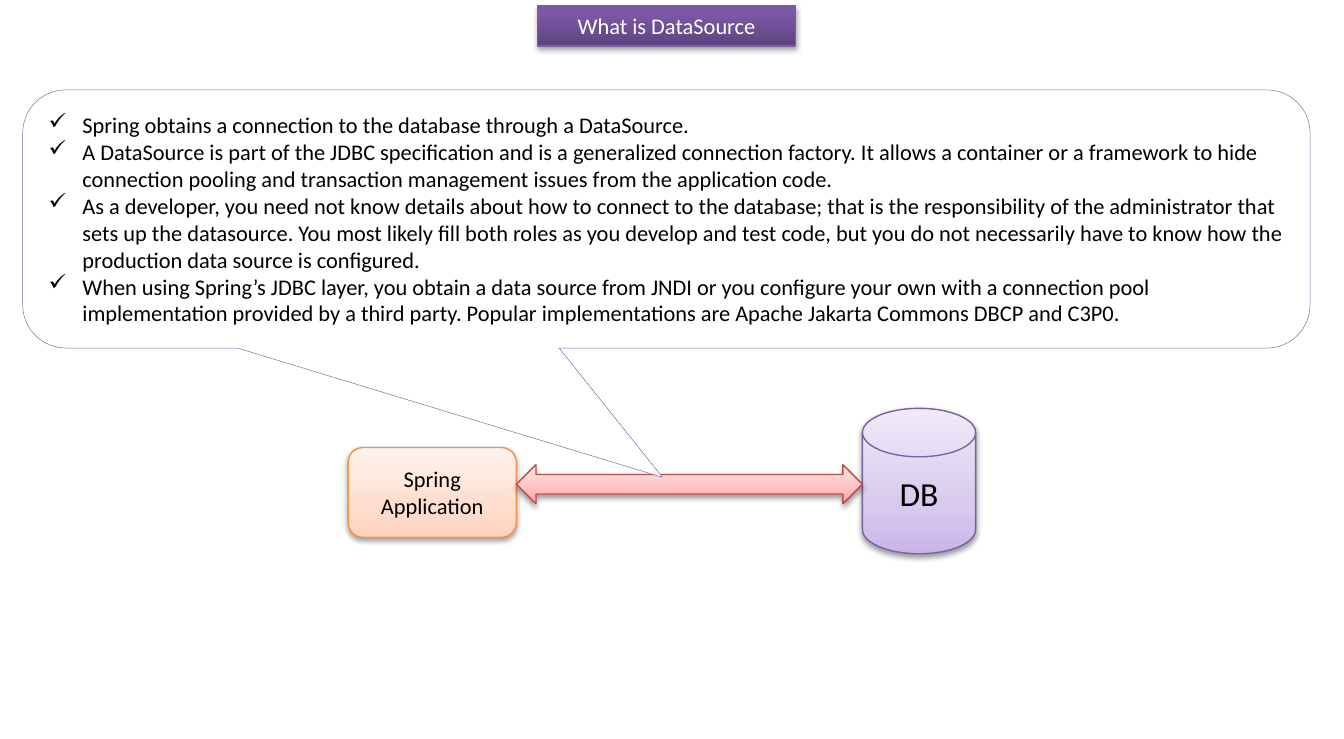
import pptx
import pptx.dml.color
import pptx.enum.shapes
import pptx.enum.text
import pptx.oxml.ns
import pptx.util
from lxml import etree

Cm, Pt = pptx.util.Cm, pptx.util.Pt
qn = pptx.oxml.ns.qn
SHAPES = pptx.enum.shapes.MSO_SHAPE
ALIGN = pptx.enum.text.PP_ALIGN
ANCHOR = pptx.enum.text.MSO_ANCHOR

POINTS = [
    "Spring obtains a connection to the database through a DataSource.",
    "A DataSource is part of the JDBC specification and is a generalized connection factory. "
    "It allows a container or a framework to hide connection pooling and transaction management "
    "issues from the application code.",
    "As a developer, you need not know details about how to connect to the database; that is the "
    "responsibility of the administrator that sets up the datasource. You most likely fill both "
    "roles as you develop and test code, but you do not necessarily have to know how the "
    "production data source is configured.",
    "When using Spring’s JDBC layer, you obtain a data source from JNDI or you configure your own "
    "with a connection pool implementation provided by a third party. Popular implementations are "
    "Apache Jakarta Commons DBCP and C3P0.",
]
COLORS = {"white": "FFFFFF", "black": "000000", "purple": "7D60A0",
          "orange": "F69240", "red": "BF4C48", "callout": "8064A2"}
GRADIENTS = {  # (percent from the bottom, colour)
    "title": [(0, "5F4480"), (80, "7B58A6"), (100, "7C57A8")],
    "purple": [(0, "C9B5E8"), (35, "D8CBEE"), (100, "F0EAF9")],
    "orange": [(0, "FFD2BD"), (35, "FFDED0"), (100, "FFF2ED")],
    "red": [(0, "FFA6A5"), (35, "FFC0BF"), (100, "FFE7E7")],
}
# left, top, width, height in centimetres
TITLE = (10.16, 0.1, 4.88, 0.77)
DATABASE = (16.3, 7.72, 2.14, 2.75)
APPLICATION = (6.58, 8.46, 3.18, 1.7)
CALLOUT = (0.43, 1.7, 24.33, 4.88)
ARROW_HEIGHT = 0.74


def rgb(name):
    return pptx.dml.color.RGBColor.from_string(COLORS[name])


def add_outlined(slide, kind, box, line, width=0.75):
    shape = slide.shapes.add_shape(kind, *map(Cm, box))
    shape.shadow.inherit = False
    shape.line.color.rgb = rgb(line)
    shape.line.width = Pt(width)
    return shape


def add_raised(slide, kind, box, line, gradient, opacity=38, distance=1.6):
    """Add a shape with a vertical gradient and a soft shadow below it."""
    shape = add_outlined(slide, kind, box, line)
    shape.fill.gradient()
    shape.fill.gradient_angle = 90
    properties = shape._element.spPr
    stops = properties.find(qn("a:gradFill")).find(qn("a:gsLst"))
    for stop in list(stops):
        stops.remove(stop)
    for percent, color in GRADIENTS[gradient]:
        stop = etree.SubElement(stops, qn("a:gs"), pos=str(percent * 1000))
        etree.SubElement(stop, qn("a:srgbClr"), val=color)
    shadow = etree.SubElement(properties.find(qn("a:effectLst")), qn("a:outerShdw"),
                              blurRad=str(Pt(3.1)), dist=str(Pt(distance)),
                              dir="5400000", rotWithShape="0")
    color = etree.SubElement(shadow, qn("a:srgbClr"), val=COLORS["black"])
    etree.SubElement(color, qn("a:alpha"), val=str(opacity * 1000))
    return shape


def write(shape, *texts, size=12, color="black", align=ALIGN.CENTER,
          anchor=ANCHOR.MIDDLE, bullet=None):
    frame = shape.text_frame
    frame.word_wrap = True
    frame.vertical_anchor = anchor
    for index, text in enumerate(texts):
        paragraph = frame.paragraphs[0] if index == 0 else frame.add_paragraph()
        paragraph.alignment = align
        if bullet:
            properties = paragraph._p.get_or_add_pPr()
            indent = Cm(0.64)
            properties.set("marL", str(indent))
            properties.set("indent", str(-indent))
            etree.SubElement(properties, qn("a:buChar"), char=bullet)
        run = paragraph.add_run()
        run.text = text
        run.font.name = "Calibri"
        run.font.size = Pt(size)
        run.font.color.rgb = rgb(color)


def main():
    presentation = pptx.Presentation()
    presentation.slide_width, presentation.slide_height = Cm(25.4), Cm(13.97)
    slide = presentation.slides.add_slide(presentation.slide_layouts[6])

    title = add_raised(slide, SHAPES.RECTANGLE, TITLE, "purple", "title",
                       opacity=35, distance=1.8)
    write(title, "What is DataSource", color="white", anchor=ANCHOR.TOP)
    title.text_frame.auto_size = pptx.enum.text.MSO_AUTO_SIZE.SHAPE_TO_FIT_TEXT

    database = add_raised(slide, SHAPES.FLOWCHART_MAGNETIC_DISK, DATABASE, "purple", "purple")
    write(database, "DB", size=18)
    application = add_raised(slide, SHAPES.FLOWCHART_ALTERNATE_PROCESS, APPLICATION,
                             "orange", "orange")
    write(application, "Spring Application")

    arrow_left = APPLICATION[0] + APPLICATION[2]
    arrow_top = DATABASE[1] + (DATABASE[3] - ARROW_HEIGHT) / 2
    arrow = (arrow_left, arrow_top + 0.06, DATABASE[0] - arrow_left, ARROW_HEIGHT)
    add_raised(slide, SHAPES.LEFT_RIGHT_ARROW, arrow, "red", "red")

    callout = add_outlined(slide, SHAPES.ROUNDED_RECTANGULAR_CALLOUT, CALLOUT, "callout", 0.25)
    callout.fill.solid()
    callout.fill.fore_color.rgb = rgb("white")
    for index, value in enumerate((-0.003, 1.001, 0.167)):
        callout.adjustments[index] = value
    write(callout, *POINTS, align=ALIGN.LEFT, bullet="✓")

    presentation.save("out.pptx")


if __name__ == "__main__":
    main()
